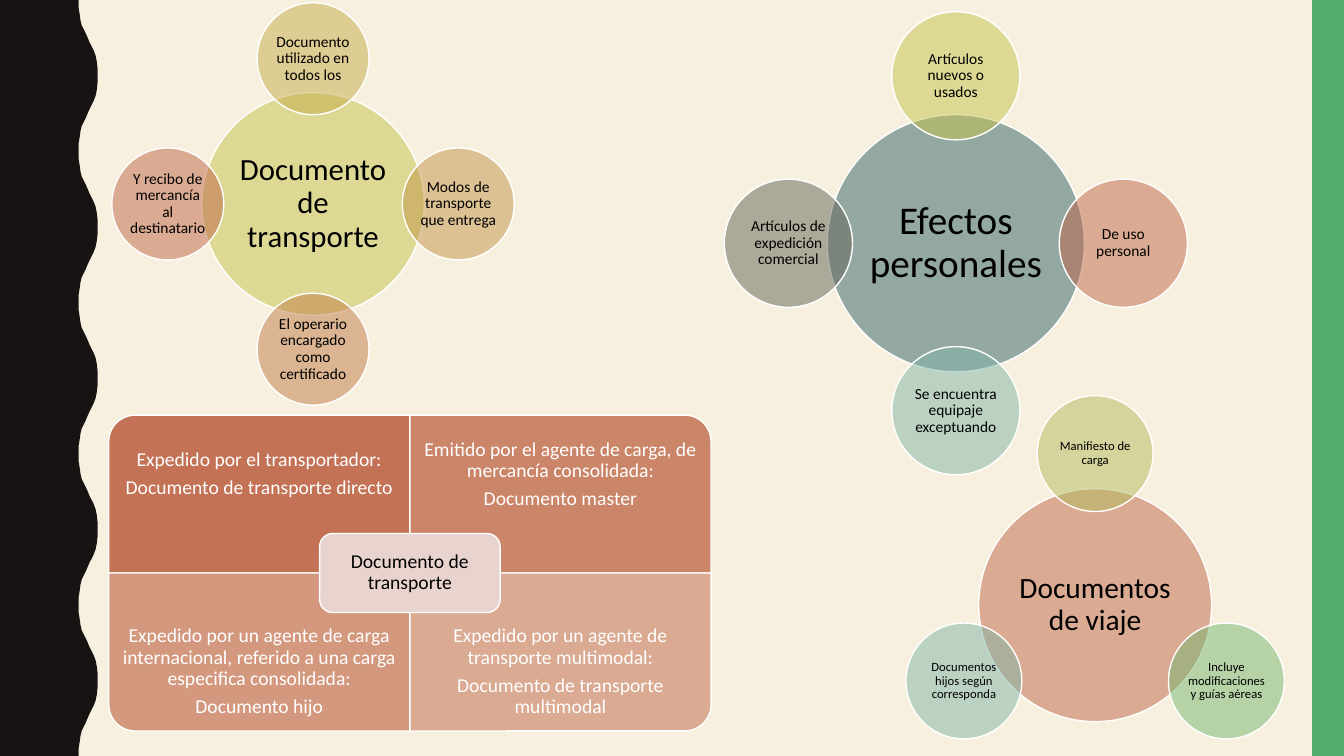
import math
from pptx import Presentation
from pptx.dml.color import RGBColor
from pptx.enum.shapes import MSO_SHAPE
from pptx.enum.text import MSO_ANCHOR, PP_ALIGN
from pptx.oxml.ns import qn
from pptx.util import Cm, Pt
from lxml import etree

ELLIPSE, RECTANGLE = MSO_SHAPE.OVAL, MSO_SHAPE.RECTANGLE
ROUND_ONE, ROUNDED = MSO_SHAPE.ROUND_1_RECTANGLE, MSO_SHAPE.ROUNDED_RECTANGLE
MIDDLE, CENTER = MSO_ANCHOR.MIDDLE, PP_ALIGN.CENTER
WIDTH, HEIGHT = 33.87, 19.05
BLACK, WHITE, RUST = "000000", "FFFFFF", "BF6546"


def style(shape, color, alpha=100, outlined=True):
    shape.shadow.inherit = False
    shape.fill.solid()
    shape.fill.fore_color.rgb = RGBColor.from_string(color)
    if alpha < 100:
        fill_color = shape.fill._xPr.find(qn("a:solidFill"))[0]
        etree.SubElement(fill_color, qn("a:alpha"), val=str(alpha * 1000))
    if outlined:
        shape.line.color.rgb = RGBColor.from_string(WHITE)
        shape.line.width = Pt(1)
    else:
        shape.line.fill.background()


def write(shape, text, size, color, inset):
    frame = shape.text_frame
    frame.word_wrap = True
    frame.vertical_anchor = MIDDLE
    for side in ("left", "top", "right", "bottom"):
        setattr(frame, f"margin_{side}", Cm(inset))
    frame.text = text
    for paragraph in frame.paragraphs:
        paragraph.alignment = CENTER
        paragraph.line_spacing = 0.9
        paragraph.font.name = "Calibri"
        paragraph.font.size = Pt(size)
        paragraph.font.color.rgb = RGBColor.from_string(color)
    for paragraph in frame.paragraphs[:-1]:
        paragraph.space_after = Pt(size * 0.35)


presentation = Presentation()
presentation.slide_width, presentation.slide_height = Cm(WIDTH), Cm(HEIGHT)
slide = presentation.slides.add_slide(presentation.slide_layouts[6])
slide.background.fill.solid()
slide.background.fill.fore_color.rgb = RGBColor.from_string("F7F0DF")
shapes = slide.shapes

# Wavy left edge: ten half waves, every second one mirrored
half_wave = HEIGHT / 10
wave_y = [0, 0.18, 0.36, 0.51, 0.64, 0.74, 0.84, 0.95, 1.07, 1.17, 1.27, 1.4, 1.55, 1.73, 1.9]
wave_x = [1.98, 1.98, 2.01, 2.03, 2.06, 2.11, 2.16, 2.21, 2.26, 2.31, 2.36, 2.41, 2.44, 2.46, 2.46]
outline = []
for number in range(10):
    for x, y in zip(wave_x[::-1] if number % 2 else wave_x, wave_y):
        outline.append((Cm(x), Cm(number * half_wave + y)))
outline += [(Cm(wave_x[0]), Cm(HEIGHT)), (0, Cm(HEIGHT))]
builder = shapes.build_freeform(0, 0)
builder.add_line_segments(outline, close=True)
style(builder.convert_to_shape(), "171312", outlined=False)

# Green right edge
band = shapes.add_shape(RECTANGLE, Cm(WIDTH - 0.8), 0, Cm(0.8), Cm(HEIGHT))
style(band, "53AE6E", outlined=False)

# Radial diagrams: hub, then satellites clockwise from the top
radials = [
    {"center": (7.89, 5.14), "hub": 5.61, "satellite": 2.82, "orbit": 3.66, "sizes": (22, 11),
     "title": ("Documento de transporte", "C5C34A"),
     "items": [("Documento utilizado en todos los", "C4AB49"),
               ("Modos de transporte que entrega", "C29448"),
               ("El operario encargado como certificado", "C17C47"),
               ("Y recibo de mercancía al destinatario", RUST)]},
    {"center": (24.09, 6.13), "hub": 6.48, "satellite": 3.23, "orbit": 4.22, "sizes": (28, 11),
     "title": ("Efectos personales", "326267"),
     "items": [("Artículos nuevos o usados", "C5C34A"),
               ("De uso personal", RUST),
               ("Se encuentra equipaje exceptuando", "81B5A8"),
               ("Artículos de expedición comercial", "636455")]},
    {"center": (27.6, 15.25), "hub": 5.87, "satellite": 2.92, "orbit": 3.82, "sizes": (21, 9),
     "title": ("Documentos de viaje", RUST),
     "items": [("Manifiesto de carga", "B2BA5B"),
               ("Incluye modificaciones y guías aéreas", "74B76F"),
               ("Documentos hijos según corresponda", "81B5A8")]},
]
for radial in radials:
    center_x, center_y = radial["center"]
    hub_size, item_size = radial["sizes"]
    circles = [(*radial["title"], center_x, center_y, radial["hub"], hub_size)]
    for index, (text, color) in enumerate(radial["items"]):
        angle = math.tau * index / len(radial["items"])
        x = center_x + radial["orbit"] * math.sin(angle)
        y = center_y - radial["orbit"] * math.cos(angle)
        circles.append((text, color, x, y, radial["satellite"], item_size))
    for text, color, x, y, diameter, size in circles:
        circle = shapes.add_shape(ELLIPSE, Cm(x - diameter / 2), Cm(y - diameter / 2),
                                  Cm(diameter), Cm(diameter))
        style(circle, color, 50)
        write(circle, text, size, BLACK, size * 0.0035)

# Matrix of four cards, each with its rounded corner outwards
matrix_left, matrix_top = 2.74, 10.46
card_width, card_height = 7.59, 3.98
label_height = card_height * 0.75
cards = [
    (270, 90, "Expedido por el transportador:\nDocumento de transporte directo"),
    (0, 77, "Emitido por el agente de carga, de mercancía consolidada:\nDocumento master"),
    (180, 63, "Expedido por un agente de carga internacional, referido a una carga "
              "especifica consolidada:\nDocumento hijo"),
    (90, 50, "Expedido por un agente de transporte multimodal:\n"
             "Documento de transporte multimodal"),
]
for index, (rotation, alpha, text) in enumerate(cards):
    row, column = divmod(index, 2)
    left = matrix_left + column * card_width
    top = matrix_top + row * card_height
    width, height = card_width, card_height
    if rotation % 180:
        width, height = height, width
    card = shapes.add_shape(ROUND_ONE, Cm(left + (card_width - width) / 2),
                            Cm(top + (card_height - height) / 2), Cm(width), Cm(height))
    card.rotation = rotation
    style(card, RUST, alpha)
    label_top = top + row * (card_height - label_height)
    label = shapes.add_textbox(Cm(left), Cm(label_top), Cm(card_width), Cm(label_height))
    write(label, text, 14, WHITE, 0.28)

# Matrix center
core_width, core_height = 4.55, card_height / 2
core = shapes.add_shape(ROUNDED, Cm(matrix_left + card_width - core_width / 2),
                        Cm(matrix_top + card_height - core_height / 2),
                        Cm(core_width), Cm(core_height))
style(core, "E8D3CF")
write(core, "Documento de transporte", 14, BLACK, 0.15)

presentation.save("out.pptx")
